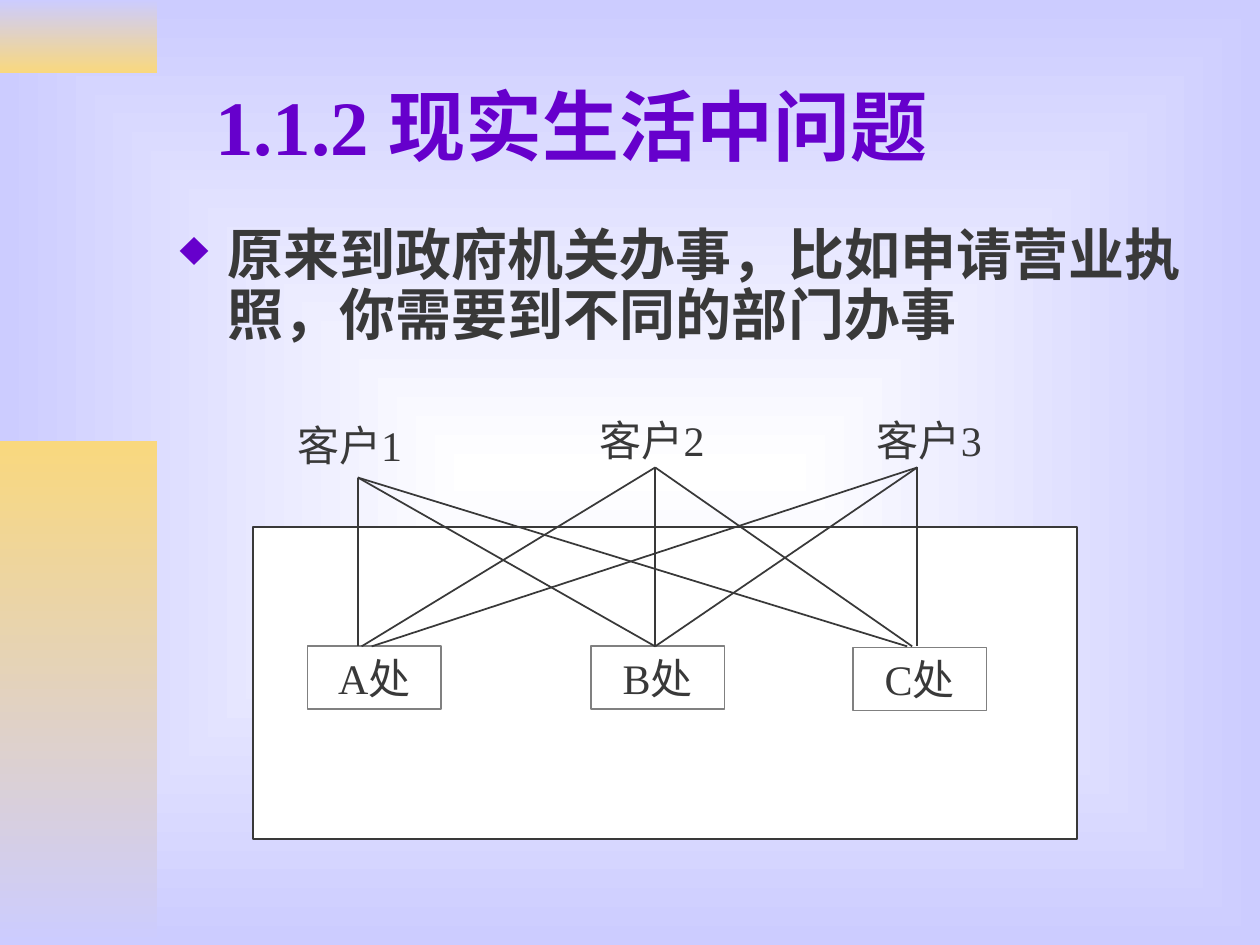
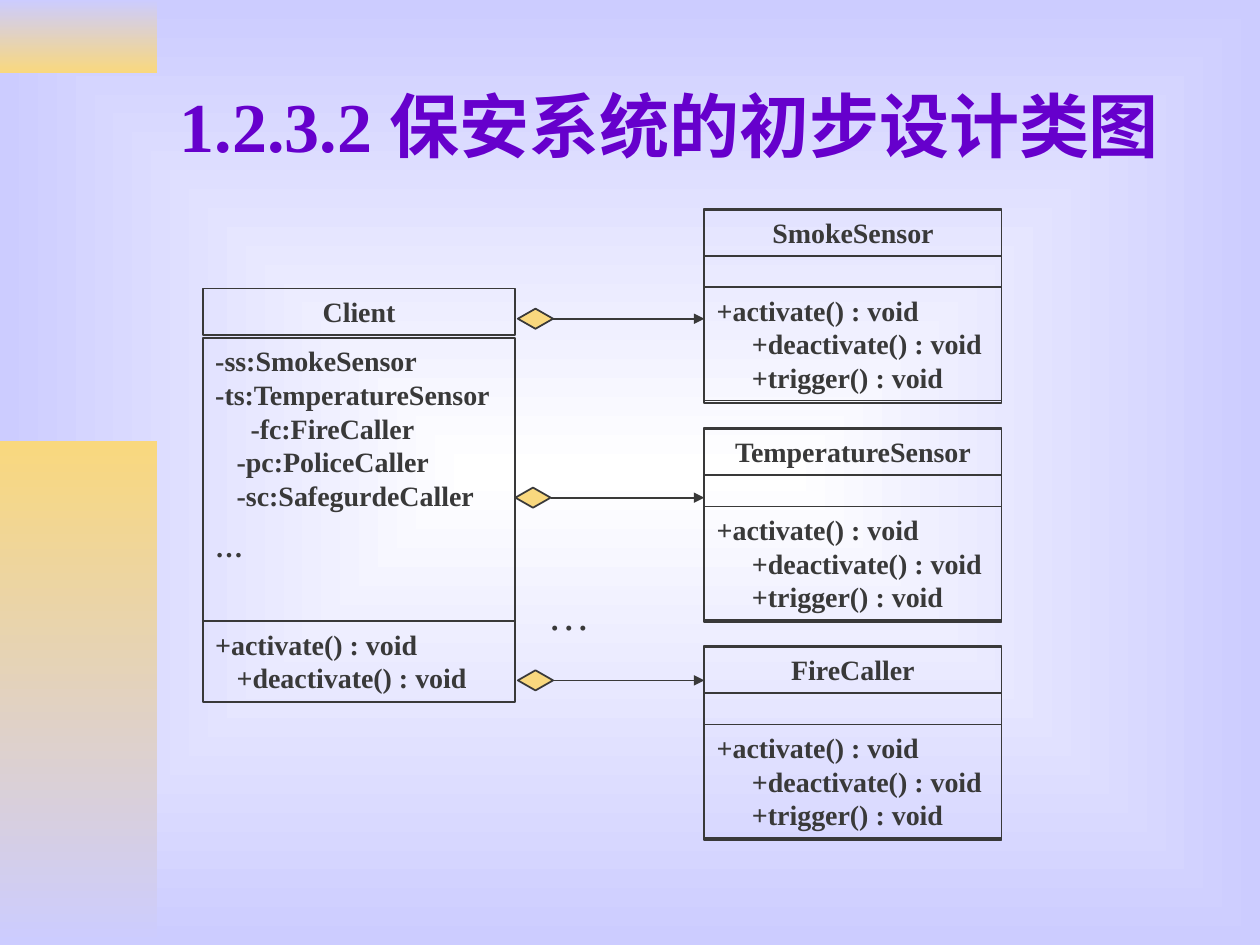
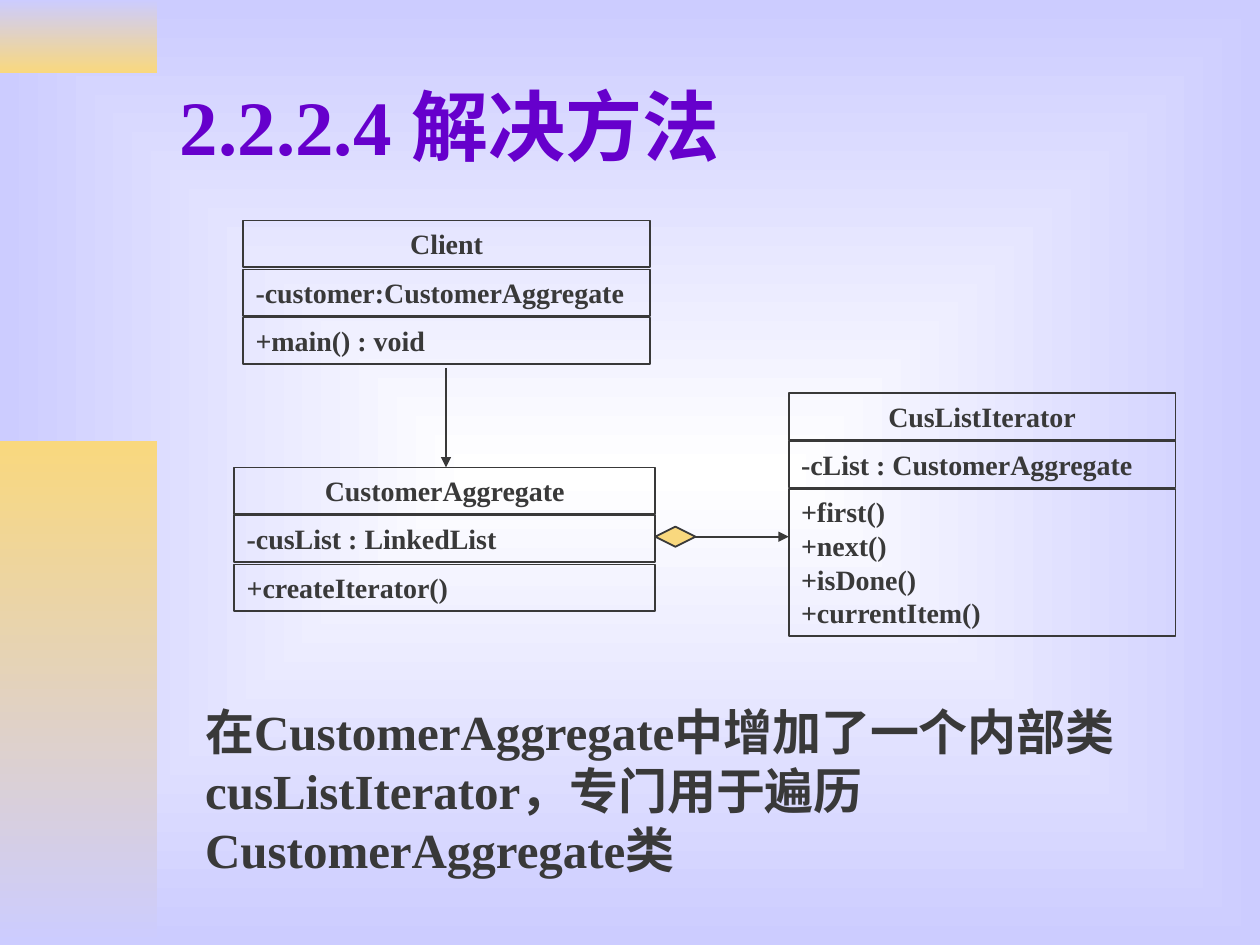
"""Builds three lecture slides on design patterns with shared bands and class boxes."""
from dataclasses import dataclass

from lxml import etree
from pptx import Presentation
from pptx import util as u
from pptx.dml.color import RGBColor
from pptx.enum import shapes, text
from pptx.oxml.ns import qn


@dataclass(frozen=True)
class Theme:
    font: str = "Times New Roman"
    title: str = "6600CC"
    ink: str = "393939"
    grey: str = "808080"
    paper: str = "FFFFFF"
    lilac: str = "CCCCFF"
    gold: str = "F9D87E"
    title_size: int = 44
    long_title_size: int = 40
    body_size: int = 32
    note_size: int = 28
    label_size: int = 24
    class_size: int = 16
    line: float = 1


THEME = Theme()
BANDS = [((0, 0, 1.25, 0.58), THEME.lilac, THEME.gold),
         ((0, 3.5, 1.25, 4), THEME.gold, THEME.lilac)]
TITLE_BOX = (1.33, 0.33, 8.5, 1.32)

PROBLEM = "原来到政府机关办事，比如申请营业执照，你需要到不同的部门办事"
HALL = (2.01, 4.18, 6.54, 2.48)
CUSTOMERS = [("客户1", 1.97, 3.28), ("客户2", 4.37, 3.24), ("客户3", 6.57, 3.24)]
OFFICES = [("A处", 2.44, 5.13), ("B处", 4.69, 5.13), ("C处", 6.77, 5.14)]
OFFICE_TOP = 5.13
VISITS = [((2.84, 3.79), (2.84, 5.2, 7.2)),
          ((5.2, 3.71), (2.87, 5.2, 7.24)),
          ((7.28, 3.71), (2.95, 5.2, 7.28))]

DEVICES = [("SmokeSensor", 1.66), ("TemperatureSensor", 3.4), ("FireCaller", 5.13)]
DEVICE_METHODS = [("+activate() : void", 0), ("+deactivate() : void", 0.28),
                  ("+trigger() : void", 0.28)]
CLIENT_FIELDS = [("-ss:SmokeSensor", 0), ("-ts:TemperatureSensor", 0),
                 ("-fc:FireCaller", 0.28), ("-pc:PoliceCaller", 0.17),
                 ("-sc:SafegurdeCaller", 0.17), ("…", 0)]
CLIENT_METHODS = [("+activate() : void", 0), ("+deactivate() : void", 0.17)]
OWNERSHIPS = [(4.11, 2.53), (4.09, 3.95), (4.11, 5.4)]

AGGREGATE_CLASSES = [
    ("Client", 1.93, 3.23, 1.75,
     [(0.39, 0.37, [("-customer:CustomerAggregate", 0)]),
      (0.77, 0.37, [("+main() : void", 0)])]),
    ("CustomerAggregate", 1.86, 3.34, 3.71,
     [(0.38, 0.37, [("-cusList : LinkedList", 0)]),
      (0.77, 0.37, [("+createIterator()", 0)])]),
    ("CusListIterator", 6.26, 3.07, 3.12,
     [(0.38, 0.37, [("-cList : CustomerAggregate", 0)]),
      (0.76, 1.17, [("+first()", 0), ("+next()", 0), ("+isDone()", 0),
                    ("+currentItem()", 0)])]),
]
NOTE = "在CustomerAggregate中增加了一个内部类cusListIterator，专门用于遍历CustomerAggregate类"


def rgb(value):
    return RGBColor.from_string(value)


def inches(values):
    return [u.Inches(value) for value in values]


def paint_gradient(fill, first, last):
    fill.gradient()
    fill.gradient_angle = 270
    for stop, colour in zip(fill.gradient_stops, (first, last)):
        stop.color.rgb = rgb(colour)


def write(box, lines, size, color=THEME.ink, bold=False, center=False, middle=False):
    """Fills a box with (text, indent) lines."""
    frame = box.text_frame
    frame.word_wrap = True
    frame.vertical_anchor = text.MSO_ANCHOR.MIDDLE if middle else text.MSO_ANCHOR.TOP
    for index, (words, indent) in enumerate(lines):
        para = frame.paragraphs[0] if index == 0 else frame.add_paragraph()
        para.text = words
        para.alignment = text.PP_ALIGN.CENTER if center else text.PP_ALIGN.LEFT
        if words == "…" and index:
            para.space_before = u.Pt(10)
        if indent:
            para._p.get_or_add_pPr().set("marL", str(u.Inches(indent)))
        font = para.font
        font.name, font.size, font.bold = THEME.font, u.Pt(size), bold
        font.color.rgb = rgb(color)
    return frame


def add_text(page, place, words, size, **style):
    box = page.shapes.add_textbox(*inches(place))
    return write(box, [(words, 0)], size, **style)


def add_block(page, place, fill=None, line=THEME.ink, kind=shapes.MSO_SHAPE.RECTANGLE):
    block = page.shapes.add_shape(kind, *inches(place))
    block.shadow.inherit = False
    if fill:
        block.fill.solid()
        block.fill.fore_color.rgb = rgb(fill)
    else:
        block.fill.background()
    if line:
        block.line.color.rgb = rgb(line)
        block.line.width = u.Pt(THEME.line)
    else:
        block.line.fill.background()
    return block


def add_line(page, start, end, arrow=False):
    line = page.shapes.add_connector(shapes.MSO_CONNECTOR.STRAIGHT, *inches(start + end))
    line.line.color.rgb = rgb(THEME.ink)
    line.line.width = u.Pt(THEME.line)
    if arrow:
        etree.SubElement(line.line._get_or_add_ln(), qn("a:tailEnd"), type="triangle")
    etree.SubElement(line._element.spPr, qn("a:effectLst"))


def add_class(page, name, left, width, top, sections):
    """Draws a class box whose sections are (offset, height, lines)."""
    header = add_block(page, (left, top, width, 0.37))
    write(header, [(name, 0)], THEME.class_size, bold=True, center=True)
    for offset, height, lines in sections:
        block = add_block(page, (left, top + offset, width, height))
        write(block, lines, THEME.class_size, bold=True)


def add_ownership(page, left, middle, width, end, kind):
    add_block(page, (left, middle - 0.08, width, 0.16), THEME.gold, kind=kind)
    add_line(page, (left + width, middle), (end, middle), arrow=True)


def add_page(deck, title, size=THEME.title_size, place=TITLE_BOX):
    page = deck.slides.add_slide(deck.slide_layouts[6])
    paint_gradient(page.background.fill, THEME.paper, THEME.lilac)
    linear = page.element.find(".//" + qn("a:lin"))
    spread = etree.Element(qn("a:path"), path="rect")
    etree.SubElement(spread, qn("a:fillToRect"), dict.fromkeys("ltrb", "50000"))
    linear.getparent().replace(linear, spread)
    for band, first, last in BANDS:
        paint_gradient(add_block(page, band, line=None).fill, first, last)
    add_text(page, place, title, size, color=THEME.title, bold=True, middle=True)
    return page


def add_bullet(para):
    props = para._p.get_or_add_pPr()
    props.set("marL", str(u.Inches(0.38)))
    props.set("indent", str(-u.Inches(0.38)))
    color = etree.Element(qn("a:buClr"))
    etree.SubElement(color, qn("a:srgbClr"), val=THEME.title)
    size = etree.Element(qn("a:buSzPct"), val="90000")
    mark = etree.Element(qn("a:buChar"), char="♦")
    for part in (color, size, mark):
        props.find(qn("a:defRPr")).addprevious(part)


def build_problem(deck):
    page = add_page(deck, "1.1.2 现实生活中问题", place=(1.61, 0.33, 8.22, 1.32))
    frame = add_text(page, (1.33, 1.75, 8.5, 1.09), PROBLEM, THEME.body_size, bold=True)
    frame.paragraphs[0].line_spacing = 0.9
    add_bullet(frame.paragraphs[0])
    add_block(page, HALL, THEME.paper)
    for name, left, top in CUSTOMERS:
        add_text(page, (left, top, 1.61, 0.5), name, THEME.label_size, center=True)
    for name, left, top in OFFICES:
        office = add_block(page, (left, top, 1.06, 0.5), line=THEME.grey)
        write(office, [(name, 0)], THEME.label_size, center=True)
    for start, ends in VISITS:
        for end in ends:
            add_line(page, start, (end, OFFICE_TOP))


def build_security(deck):
    page = add_page(deck, "1.2.3.2 保安系统的初步设计类图", THEME.long_title_size)
    for name, top in DEVICES:
        add_class(page, name, 5.59, 2.36, top,
                  [(0.01, 1.53, []), (0.62, 0.9, DEVICE_METHODS)])
    add_class(page, "Client", 1.61, 2.48, 2.29,
              [(0.39, 2.25, CLIENT_FIELDS), (2.64, 0.64, CLIENT_METHODS)])
    for left, middle in OWNERSHIPS:
        add_ownership(page, left, middle, 0.28, 5.59, shapes.MSO_SHAPE.DIAMOND)
    add_text(page, (4.25, 4.62, 0.94, 0.5), "…", THEME.label_size)


def build_solution(deck):
    page = add_page(deck, "2.2.2.4 解决方法")
    for entry in AGGREGATE_CLASSES:
        add_class(page, *entry)
    add_ownership(page, 5.2, 4.26, 0.32, 6.26, shapes.MSO_SHAPE.FLOWCHART_DECISION)
    add_line(page, (3.54, 2.92), (3.54, 3.71), arrow=True)
    add_text(page, (1.53, 5.52, 7.8, 1.5), NOTE, THEME.note_size, bold=True)


def main():
    deck = Presentation()
    deck.slide_width, deck.slide_height = inches((10, 7.5))
    for build in (build_problem, build_security, build_solution):
        build(deck)
    deck.save("out.pptx")


if __name__ == "__main__":
    main()
